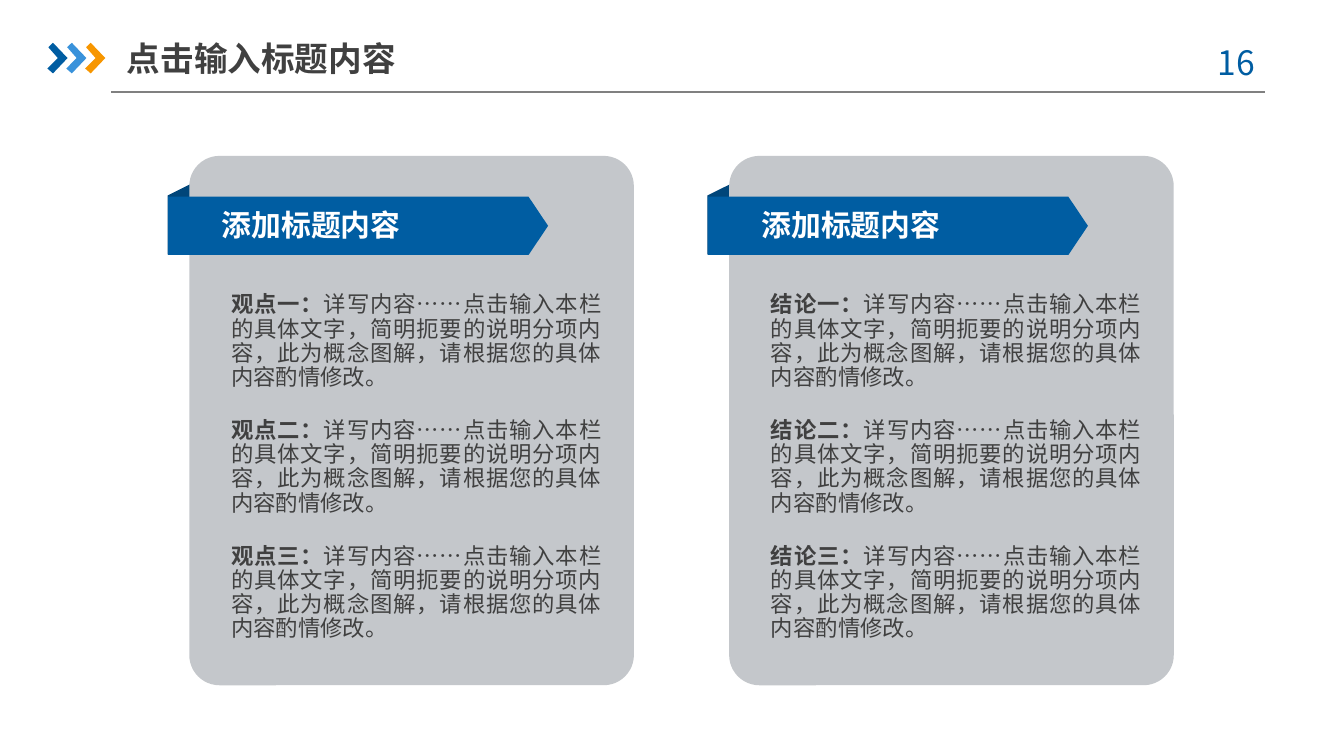
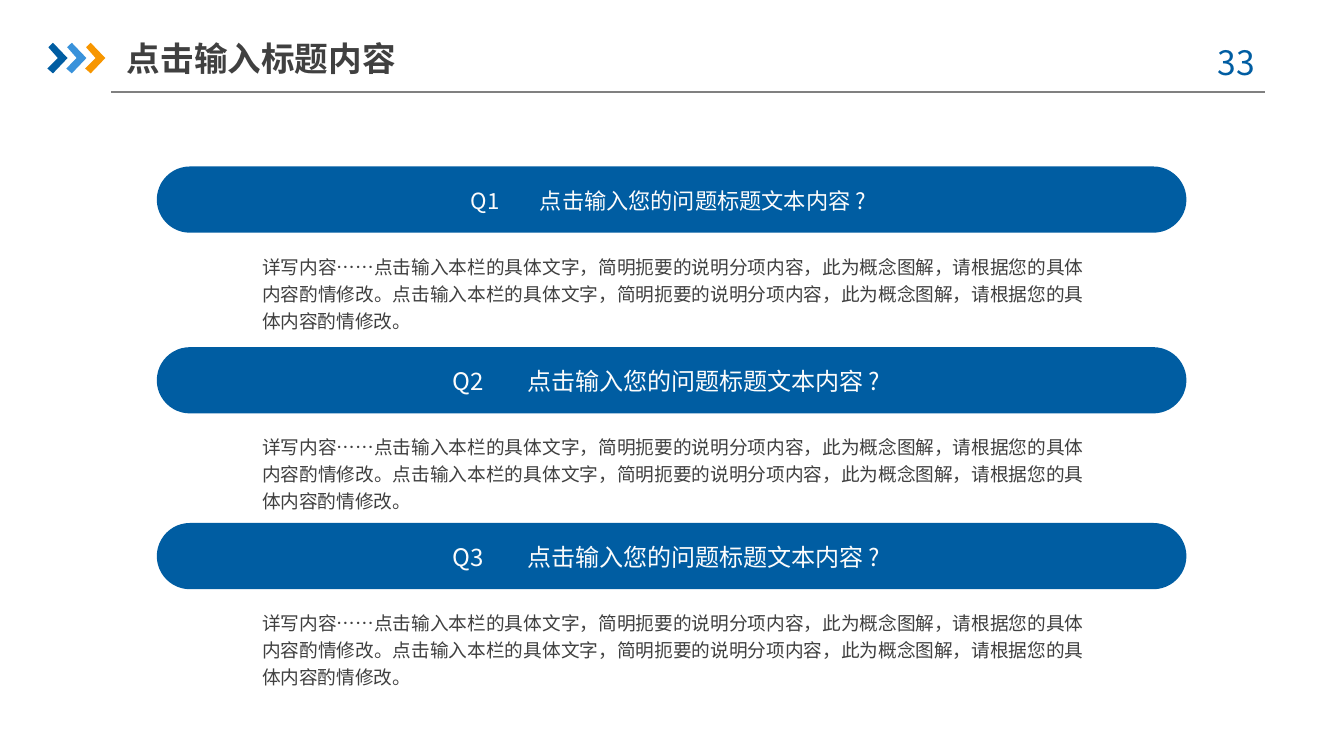
from lxml.etree import SubElement
from pptx import Presentation
from pptx.dml.color import RGBColor
from pptx.enum.shapes import MSO_CONNECTOR, MSO_SHAPE
from pptx.enum.text import MSO_ANCHOR, MSO_AUTO_SIZE, PP_ALIGN
from pptx.oxml.ns import qn
from pptx.util import Pt

BLUE = RGBColor(0x00, 0x5D, 0xA2)
LIGHT_BLUE = RGBColor(0x39, 0x92, 0xDB)
DARK_BLUE = RGBColor(0x00, 0x46, 0x7A)
ORANGE = RGBColor(0xF7, 0x96, 0x00)
GREY = RGBColor(0x80, 0x80, 0x80)
PANEL_GREY = RGBColor(0xC4, 0xC7, 0xCB)
TEXT_GREY = RGBColor(0x40, 0x40, 0x40)
WHITE = RGBColor(0xFF, 0xFF, 0xFF)
OFF_WHITE = RGBColor(0xFC, 0xFC, 0xFC)
FONT = "Noto Sans CJK SC"

DETAIL = "点击输入本栏的具体文字，简明扼要的说明分项内容，此为概念图解，请根据您的具体内容酌情修改。"
CHEVRON = [(0.5, 2.4), (3, 0), (10.8, 8.2), (3, 16.4), (0, 13.8), (5.6, 8.2)]


def write(shape, box, runs, size, color, align=PP_ALIGN.LEFT, bold=False,
          spacing=None, insets=(0, 0, 0, 0), anchor=MSO_ANCHOR.TOP, tab=None):
    """Place a text shape and fill its only paragraph."""
    shape.left, shape.top, shape.width, shape.height = [Pt(v) for v in box]
    frame = shape.text_frame
    frame.word_wrap = True
    frame.auto_size = MSO_AUTO_SIZE.NONE
    frame.vertical_anchor = anchor
    (frame.margin_left, frame.margin_top,
     frame.margin_right, frame.margin_bottom) = [Pt(v) for v in insets]
    paragraph = frame.paragraphs[0]
    paragraph.alignment = align
    paragraph.space_before = Pt(0)
    if spacing:
        paragraph.line_spacing = spacing
    properties = paragraph._p.get_or_add_pPr()
    if tab:
        stops = SubElement(properties, qn("a:tabLst"))
        SubElement(stops, qn("a:tab"), pos=str(Pt(tab)), algn="l")
    font = paragraph.font
    font.name, font.size, font.bold = FONT, Pt(size), bold
    font.color.rgb = color
    SubElement(properties.find(qn("a:defRPr")), qn("a:ea"), typeface=FONT)
    for index, words in enumerate(runs):
        run = paragraph.add_run()
        run.text = words
        if len(runs) > 1:
            run.font.bold = index == 0


def add_block(slide, kind, box, color, adjustment=None):
    """Add a plain filled preset shape."""
    block = slide.shapes.add_shape(kind, *[Pt(v) for v in box])
    block.shadow.inherit = False
    block.fill.solid()
    block.fill.fore_color.rgb = color
    block.line.fill.background()
    if adjustment is not None:
        block.adjustments[0] = adjustment
    return block


deck = Presentation()
deck.slide_width, deck.slide_height = Pt(720), Pt(405)

# Shared heading: title, rule, chevrons and page number
slides = []
for page in (16, 33):
    slide = deck.slides.add_slide(deck.slide_layouts[5])
    slides.append(slide)
    write(slide.shapes.title, (68, 16, 168, 30), ["点击输入标题内容"], 18, TEXT_GREY,
          bold=True, insets=(0, 3.6, 0, 3.6), anchor=MSO_ANCHOR.MIDDLE)
    rule = slide.shapes.add_connector(
        MSO_CONNECTOR.STRAIGHT, Pt(59.6), Pt(49.3), Pt(677.6), Pt(49.3))
    rule.line.color.rgb = GREY
    rule.line.width = Pt(0.75)
    SubElement(rule._element.spPr, qn("a:effectLst"))
    for index, color in enumerate((BLUE, LIGHT_BLUE, ORANGE)):
        corners = [(Pt(25.4 + 10.1 * index + x), Pt(22.9 + y)) for x, y in CHEVRON]
        outline = slide.shapes.build_freeform(*corners[0])
        outline.add_line_segments(corners[1:], close=True)
        chevron = outline.convert_to_shape()
        chevron.shadow.inherit = False
        chevron.fill.solid()
        chevron.fill.fore_color.rgb = color
        chevron.line.fill.background()
    write(slide.shapes.add_textbox(0, 0, 0, 0), (638, 19, 52.6, 29), [f"{page} "],
          18, BLUE, PP_ALIGN.CENTER, insets=(7.2, 3.6, 7.2, 3.6))

viewpoints, questions = slides

# Two panels with folded ribbons and three points each
for column, topic in enumerate(("观点", "结论")):
    left = 90 + 289.2 * column
    fold = add_block(viewpoints, MSO_SHAPE.FLOWCHART_DATA,
                     (left - 12.1, 108.7, 39.5, 15.8), DARK_BLUE)
    fold.rotation = 270
    fold._element.spPr.find(qn("a:xfrm")).set("flipH", "1")
    add_block(viewpoints, MSO_SHAPE.ROUNDED_RECTANGLE,
              (left + 11.4, 83.5, 238.2, 283.6), PANEL_GREY, 0.068)
    add_block(viewpoints, MSO_SHAPE.PENTAGON, (left, 105.4, 203.6, 31.2), BLUE, 0.335)
    write(viewpoints.shapes.add_textbox(0, 0, 0, 0), (left + 28.8, 110.9, 134, 19.4),
          ["添加标题内容"], 16, WHITE, bold=True)
    for row, number in enumerate("一二三"):
        write(viewpoints.shapes.add_textbox(0, 0, 0, 0),
              (left + 33.8, 157 + 67.3 * row, 198.7, 52.6),
              [f"{topic}{number}：", "详写内容……" + DETAIL], 12, TEXT_GREY,
              PP_ALIGN.JUSTIFY, spacing=Pt(13))

# Question bars with answers: top, font size, left inset, tab stop
for number, (top, size, inset, tab) in enumerate(
        [(89.2, 11.9, 11, 37), (186, 12.9, 1.4, 40.2), (280.2, 12.9, 1.4, 40.2)], 1):
    add_block(questions, MSO_SHAPE.ROUNDED_RECTANGLE, (84, top, 551.6, 35.5), BLUE, 0.5)
    write(questions.shapes.add_textbox(0, 0, 0, 0), (241.2, top + 5.8, 238.3, 24.5),
          [f"Q{number}\t点击输入您的问题标题文本内容 ?"], size, OFF_WHITE,
          insets=(inset, 0, 0, 0), anchor=MSO_ANCHOR.MIDDLE, tab=tab)
    write(questions.shapes.add_textbox(0, 0, 0, 0), (140.4, top + 45.4, 440, 44),
          ["详写内容……" + DETAIL * 2], 10, TEXT_GREY, PP_ALIGN.JUSTIFY, spacing=1.2)

deck.save("out.pptx")
